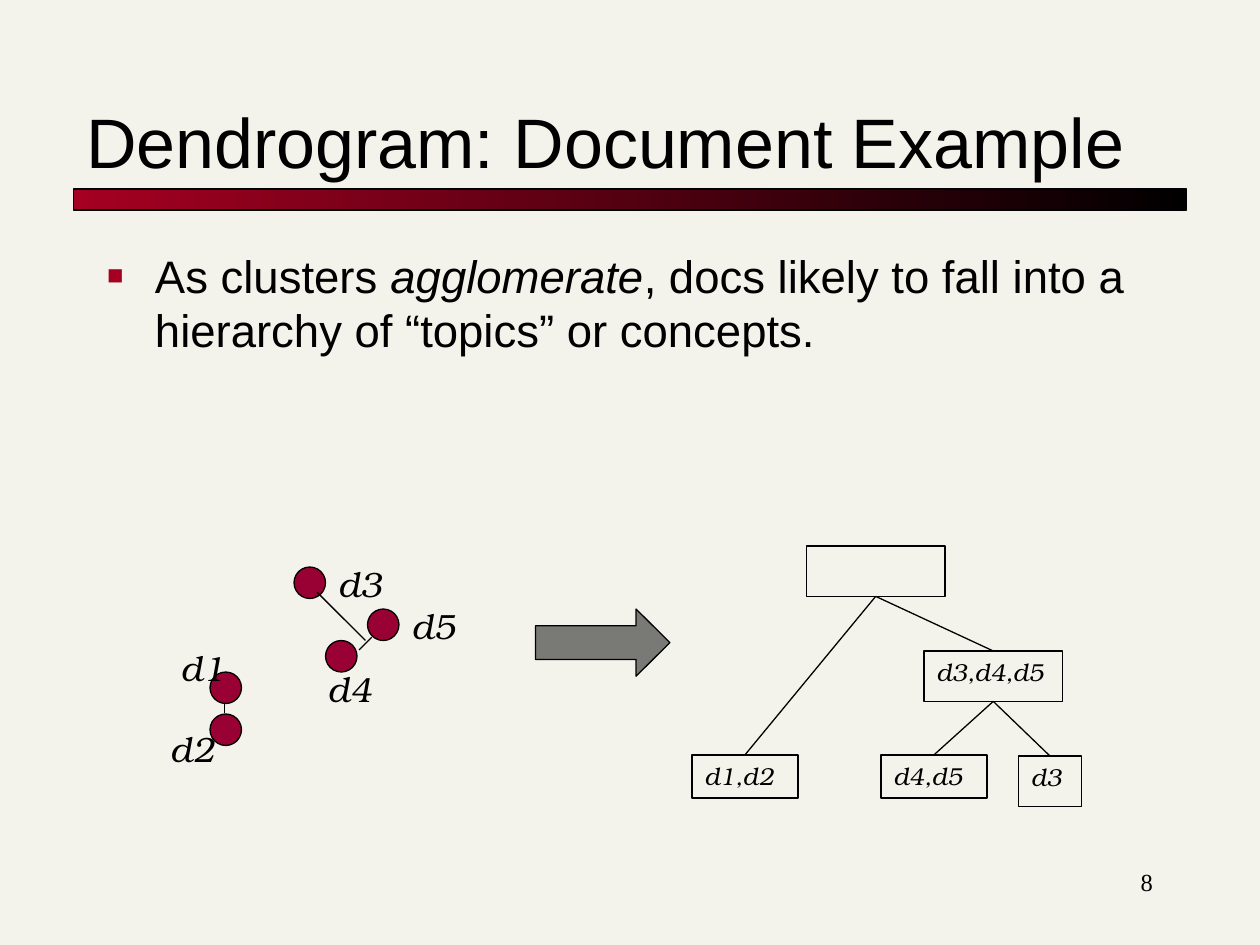
import dataclasses

import lxml.etree
import pptx
import pptx.dml.color
import pptx.enum.dml
import pptx.enum.shapes
import pptx.enum.text
import pptx.oxml
import pptx.oxml.ns
import pptx.util

SHAPE = pptx.enum.shapes.MSO_SHAPE
ALIGN = pptx.enum.text.PP_ALIGN
ANCHOR = pptx.enum.text.MSO_ANCHOR
COLUMNS, ROWS = 120, 90
WIDTH, HEIGHT = pptx.util.Inches(10), pptx.util.Inches(7.5)


@dataclasses.dataclass(frozen=True)
class Theme:
    """Colours, fonts and type sizes of the slide."""
    paper: str = "F4F3EB"
    ink: str = "000000"
    accent: str = "A50021"
    dot: str = "990033"
    sans: str = "Arial"
    serif: str = "TeX Gyre Bonum"
    number: str = "Times New Roman"
    title: float = 40
    body: float = 26
    label: float = 20
    node: float = 14
    line: float = 0.75


@dataclasses.dataclass(frozen=True)
class Box:
    """An area of the slide grid, in columns and rows."""
    x: float
    y: float
    w: float
    h: float

    def inner(self, x, y, w=0, h=0):
        """Return a box placed relative to this one."""
        return Box(self.x + x, self.y + y, w, h)

    def top(self):
        """Return the middle of the top edge."""
        return self.inner(self.w / 2, 0)

    def bottom(self):
        """Return the middle of the bottom edge."""
        return self.inner(self.w / 2, self.h)

    def emu(self):
        """Return left, top, width and height as lengths."""
        cw, ch = WIDTH / COLUMNS, HEIGHT / ROWS
        return [pptx.util.Emu(round(v)) for v in
                (self.x * cw, self.y * ch, self.w * cw, self.h * ch)]


THEME = Theme()


def rgb(value):
    """Return a colour from its hex digits."""
    return pptx.dml.color.RGBColor.from_string(value)


def move(sp, box):
    """Move a placeholder to a box."""
    sp.left, sp.top, sp.width, sp.height = box.emu()


def format_text(tf, font, size, before=0, italic=False, align=ALIGN.LEFT, anchor=ANCHOR.TOP):
    """Format every run of a text frame."""
    tf.word_wrap = True
    tf.auto_size = pptx.enum.text.MSO_AUTO_SIZE.NONE
    tf.vertical_anchor = anchor
    for p in tf.paragraphs:
        p.alignment = align
        p.space_before = pptx.util.Pt(before)
        for r in p.runs:
            r.font.name, r.font.size = font, pptx.util.Pt(size)
            r.font.italic = italic
            r.font.color.rgb = rgb(THEME.ink)


def add_shape(s, kind, box, fill=None):
    """Add an outlined preset shape, filled if a colour is given."""
    sp = s.shapes.add_shape(kind, *box.emu())
    sp.shadow.inherit = False
    sp.line.color.rgb = rgb(THEME.ink)
    sp.line.width = pptx.util.Pt(THEME.line)
    if fill:
        sp.fill.solid()
        sp.fill.fore_color.rgb = rgb(fill)
    else:
        sp.fill.background()
    return sp


def add_text(s, box, text, font, size, **style):
    """Add a formatted text box."""
    tf = s.shapes.add_textbox(*box.emu()).text_frame
    tf.text = text
    format_text(tf, font, size, **style)


def add_line(s, start, end):
    """Add a thin line between two points."""
    ends = start.emu()[:2] + end.emu()[:2]
    line = s.shapes.add_connector(pptx.enum.shapes.MSO_CONNECTOR.STRAIGHT, *ends)
    line.line.color.rgb = rgb(THEME.ink)
    line.line.width = pptx.util.Pt(THEME.line)
    lxml.etree.SubElement(line._element.spPr, pptx.oxml.ns.qn("a:effectLst"))


def add_heading(s, box):
    """Place the title above its gradient bar."""
    sp = s.shapes.title
    move(sp, box.inner(0, 0, box.w, 13))
    sp.text_frame.text = "Dendrogram: Document Example"
    format_text(sp.text_frame, THEME.sans, THEME.title, anchor=ANCHOR.BOTTOM)
    bar = add_shape(s, SHAPE.RECTANGLE, box.inner(0, 13, box.w, 2))
    bar.fill.gradient()
    bar.fill.gradient_angle = 0
    for stop, colour, position in zip(bar.fill.gradient_stops, (THEME.accent, THEME.ink), (0, 1)):
        stop.color.rgb = rgb(colour)
        stop.position = position


def add_body(s, box):
    """Place the bulleted statement."""
    sp = s.placeholders[1]
    move(sp, box)
    p = sp.text_frame.paragraphs[0]
    for text in ("As clusters ", "agglomerate", ", docs likely to fall into a hierarchy of “topics” or concepts."):
        p.add_run().text = text
    format_text(sp.text_frame, THEME.sans, THEME.body, before=6.5)
    p.runs[1].font.italic = True
    pPr = p._p.get_or_add_pPr()
    indent = pptx.util.Inches(0.38)
    pPr.set("marL", str(indent))
    pPr.set("indent", str(-indent))
    ns = pptx.oxml.ns.nsdecls("a")
    for xml in (f'<a:buClr {ns}><a:srgbClr val="{THEME.accent}"/></a:buClr>',
                f'<a:buSzPct {ns} val="60000"/>',
                f'<a:buChar {ns} char="■"/>'):
        pPr.append(pptx.oxml.parse_xml(xml))


def add_scatter(s, box):
    """Draw the documents as labelled dots joined by their merges."""
    documents = {"d1": ((5, 11), (1, 8)), "d2": ((5, 15), (0, 15.7)),
                 "d5": ((20, 5), (23, 4)), "d4": ((16, 8), (15, 10)),
                 "d3": ((13, 1), (16, 0))}
    merges = [((6.4, 14.9), (6.4, 14)), ((19.2, 8.9), (20.4, 7.7)), ((15.2, 3.4), (19.8, 8))]
    for dot, _ in documents.values():
        add_shape(s, SHAPE.OVAL, box.inner(*dot, 3, 3), THEME.dot)
    for name, (_, label) in documents.items():
        add_text(s, box.inner(*label, 7, 5.3), name, THEME.serif, THEME.label,
                 before=12.5, italic=True)
    for start, end in merges:
        add_line(s, box.inner(*start), box.inner(*end))


def add_arrow(s, box):
    """Draw the half transparent arrow from dots to tree."""
    sp = add_shape(s, SHAPE.RIGHT_ARROW, box, THEME.ink)
    sp.adjustments[0], sp.adjustments[1] = 0.5, 0.503
    colour = sp._element.spPr.find(".//" + pptx.oxml.ns.qn("a:srgbClr"))
    lxml.etree.SubElement(colour, pptx.oxml.ns.qn("a:alpha")).set("val", "50000")


def add_tree(s, box):
    """Draw the dendrogram, each node linked to its parent."""
    nodes = {"": (10.9, 0, 13.2, 4.8), "d3,d4,d5": (22.1, 10, 13.2, 4.8),
             "d1,d2": (0, 19.9, 10.1, 4.1), "d4,d5": (18, 19.9, 10.1, 4.1),
             "d3": (31.1, 20, 6, 4.8)}
    parents = {"d3,d4,d5": "", "d1,d2": "", "d4,d5": "d3,d4,d5", "d3": "d3,d4,d5"}
    places = {name: box.inner(*place) for name, place in nodes.items()}
    for name, place in places.items():
        sp = add_shape(s, SHAPE.RECTANGLE, place)
        if name:
            sp.text_frame.text = name
            format_text(sp.text_frame, THEME.serif, THEME.node, before=8.8, italic=True)
    for child, parent in parents.items():
        add_line(s, places[parent].bottom(), places[child].top())


def main():
    """Build and save the slide."""
    prs = pptx.Presentation()
    prs.slide_width, prs.slide_height = WIDTH, HEIGHT
    s = prs.slides.add_slide(prs.slide_layouts[1])
    s.background.fill.solid()
    s.background.fill.fore_color.rgb = rgb(THEME.paper)
    add_heading(s, Box(7, 5, 106, 15))
    add_body(s, Box(9, 23, 102, 64))
    add_scatter(s, Box(15, 53, 30, 21))
    add_tree(s, Box(65.9, 52, 37.1, 24.8))
    add_arrow(s, Box(51, 58, 12.8, 6.4))
    add_text(s, Box(86, 82, 25, 6), "8", THEME.number, THEME.node, align=ALIGN.RIGHT)
    prs.save("out.pptx")


if __name__ == "__main__":
    main()
